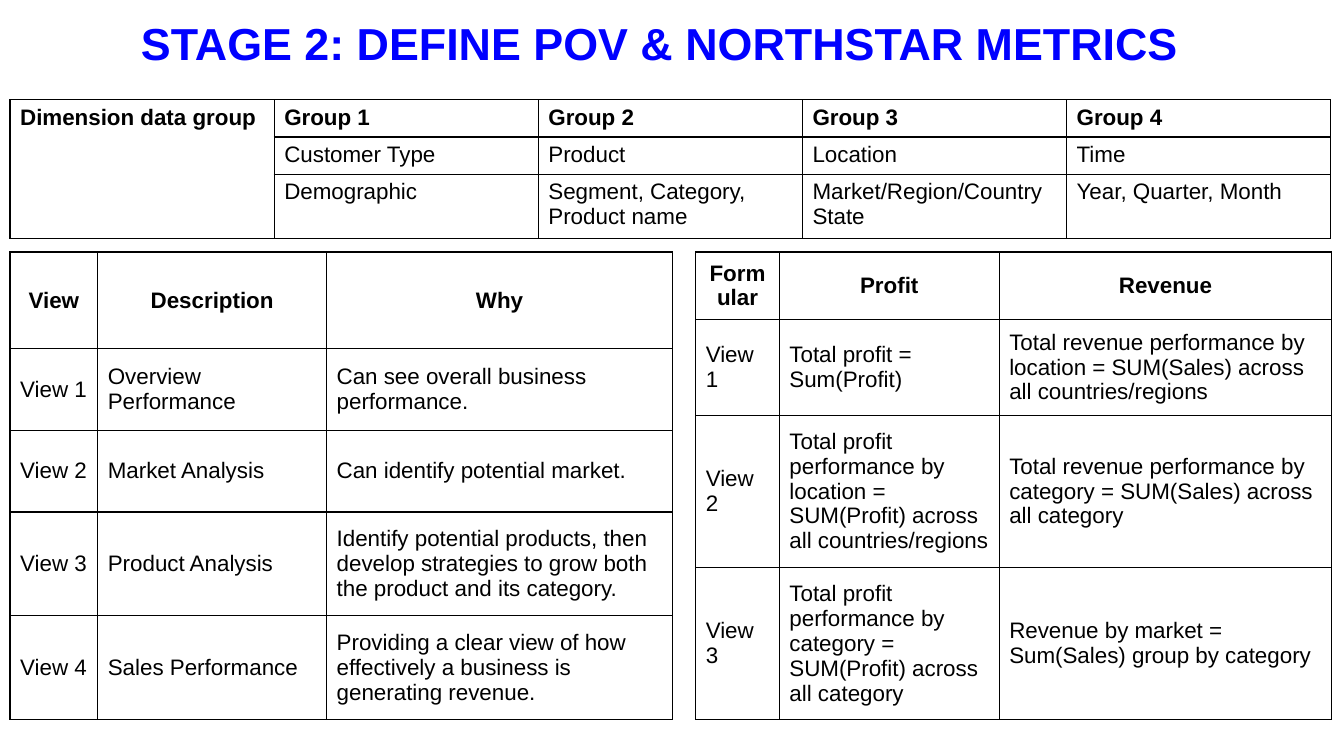
from dataclasses import dataclass

from lxml import etree
from pptx import Presentation
from pptx.dml.color import RGBColor
from pptx.enum.text import MSO_ANCHOR, MSO_AUTO_SIZE, PP_ALIGN
from pptx.oxml.ns import qn
from pptx.slide import Slide
from pptx.table import _Cell
from pptx.util import Inches, Pt

TOP, MIDDLE = MSO_ANCHOR.TOP, MSO_ANCHOR.MIDDLE
LEFT, CENTER = PP_ALIGN.LEFT, PP_ALIGN.CENTER
GROW = MSO_AUTO_SIZE.SHAPE_TO_FIT_TEXT

SLIDE_W, SLIDE_H = Inches(13.33), Inches(7.5)
GRID_COLS, GRID_ROWS = 1333, 750
BLACK, BLUE = "000000", "0000FF"
TITLE_FONT = {"name": "Arial", "size": Pt(32), "bold": True}
BODY_FONT = {"name": "Arial", "size": Pt(16)}


@dataclass(frozen=True)
class Grid:
    """A table placed and sized in columns and rows of the slide grid."""
    left: int
    top: int
    cols: tuple[int, ...]
    rows: tuple[int, ...]
    cells: tuple[tuple[str, ...], ...]
    anchor: MSO_ANCHOR = MIDDLE
    header_align: PP_ALIGN = CENTER
    merge_first_col: bool = False


DIMENSIONS = Grid(
    10, 99, (262,) * 5, (37, 37, 63),
    (
        ("Dimension data group", "Group 1", "Group 2", "Group 3", "Group 4"),
        ("", "Customer Type", "Product", "Location", "Time"),
        ("", "Demographic", "Segment, Category, Product name",
         "Market/Region/Country State", "Year, Quarter, Month"),
    ),
    TOP, LEFT, merge_first_col=True,
)
VIEWS = Grid(
    10, 250, (87, 227, 343), (96, 81, 81, 103, 103),
    (
        ("View", "Description", "Why"),
        ("View 1", "Overview Performance",
         "Can see overall business performance."),
        ("View 2", "Market Analysis", "Can identify potential market."),
        ("View 3", "Product Analysis",
         "Identify potential products, then develop strategies "
         "to grow both the product and its category."),
        ("View 4", "Sales Performance",
         "Providing a clear view of how effectively a business "
         "is generating revenue."),
    ),
)
FORMULAS = Grid(
    690, 250, (83, 218, 330), (67, 95, 151, 151),
    (
        ("Formular", "Profit", "Revenue"),
        ("View 1", "Total profit = Sum(Profit)",
         "Total revenue performance by location = SUM(Sales) "
         "across all countries/regions"),
        ("View 2",
         "Total profit performance by location = SUM(Profit) "
         "across all countries/regions",
         "Total revenue performance by category = SUM(Sales) "
         "across all category"),
        ("View 3",
         "Total profit performance by category = SUM(Profit) "
         "across all category",
         "Revenue by market = Sum(Sales) group by category"),
    ),
)


def x(cols: float) -> int:
    return round(SLIDE_W * cols / GRID_COLS)


def y(rows: float) -> int:
    return round(SLIDE_H * rows / GRID_ROWS)


def rgb(color: str) -> RGBColor:
    return RGBColor.from_string(color)


def style_font(font, color: str, values: dict) -> None:
    for name, value in values.items():
        setattr(font, name, value)
    font.color.rgb = rgb(color)


def add_borders(cell: _Cell, color: str = BLACK) -> None:
    """Line all four sides; the lines must come before the cell's fill."""
    props = cell._tc.get_or_add_tcPr()
    for i, side in enumerate(("a:lnL", "a:lnR", "a:lnT", "a:lnB")):
        ln = etree.Element(qn(side), w=str(Pt(1)))
        fill = etree.SubElement(ln, qn("a:solidFill"))
        etree.SubElement(fill, qn("a:srgbClr"), val=color)
        props.insert(i, ln)


def add_title(s: Slide, text: str) -> None:
    sp = s.shapes.title
    sp.left, sp.top, sp.width, sp.height = x(-12), y(11), x(1333), y(64)
    tf = sp.text_frame
    tf.word_wrap, tf.auto_size, tf.vertical_anchor = True, GROW, TOP
    p = tf.paragraphs[0]
    p.alignment = CENTER
    r = p.add_run()
    r.text = text
    style_font(r.font, BLUE, TITLE_FONT)


def fill_cell(cell: _Cell, text: str, grid: Grid, header: bool) -> None:
    cell.fill.background()
    add_borders(cell)
    cell.vertical_anchor = grid.anchor
    p = cell.text_frame.paragraphs[0]
    p.alignment = grid.header_align if header else LEFT
    style_font(p.font, BLACK, BODY_FONT)
    if text:
        r = p.add_run()
        r.text = text
        style_font(r.font, BLACK, BODY_FONT | {"bold": header})


def add_grid(s: Slide, grid: Grid) -> None:
    table = s.shapes.add_table(
        len(grid.rows), len(grid.cols), x(grid.left), y(grid.top),
        x(sum(grid.cols)), y(sum(grid.rows))).table
    table.first_row = table.horz_banding = False
    for col, width in zip(table.columns, grid.cols):
        col.width = x(width)
    for row, height in zip(table.rows, grid.rows):
        row.height = y(height)
    for i, texts in enumerate(grid.cells):
        for j, text in enumerate(texts):
            fill_cell(table.cell(i, j), text, grid, header=i == 0)
    if grid.merge_first_col:
        table.cell(0, 0).merge(table.cell(len(grid.rows) - 1, 0))


def main() -> None:
    prs = Presentation()
    prs.slide_width, prs.slide_height = SLIDE_W, SLIDE_H
    s = prs.slides.add_slide(prs.slide_layouts.get_by_name("Title Only"))
    add_title(s, "STAGE 2: DEFINE POV & NORTHSTAR METRICS")
    for grid in (DIMENSIONS, VIEWS, FORMULAS):
        add_grid(s, grid)
    prs.save("out.pptx")


if __name__ == "__main__":
    main()
